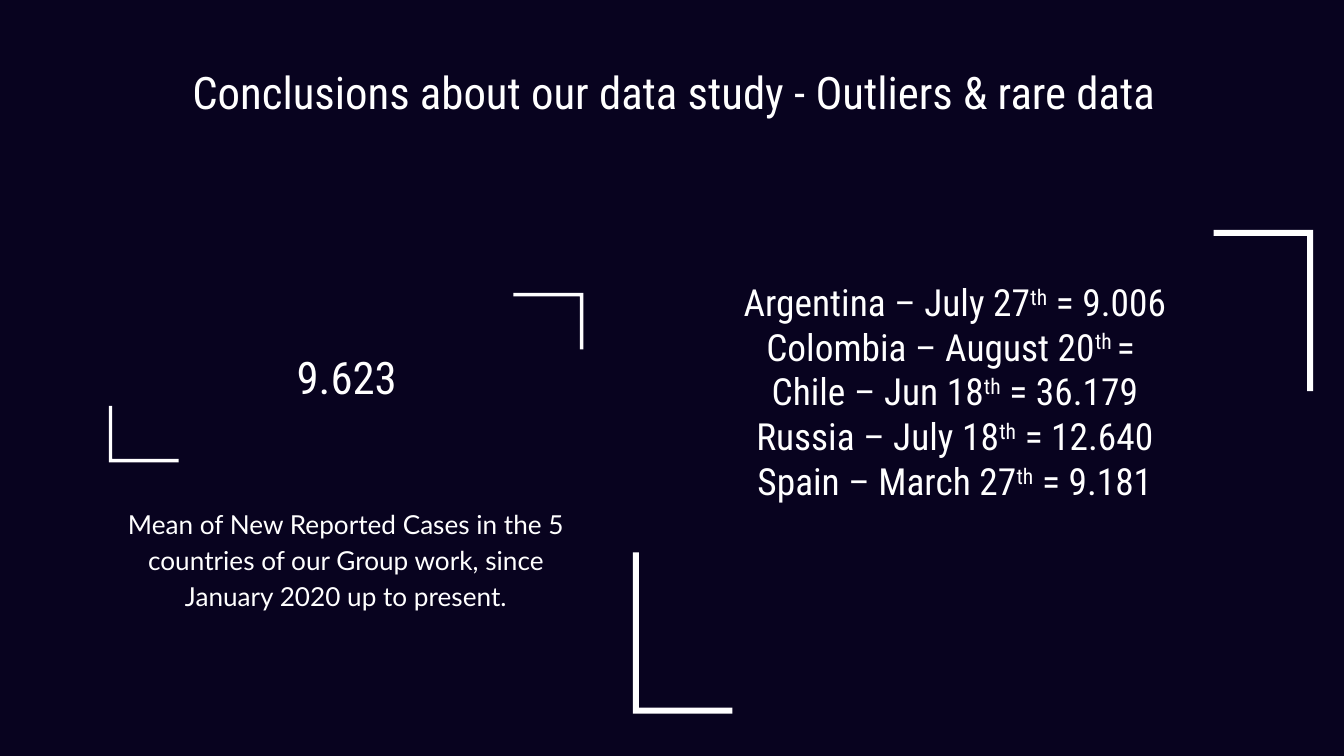
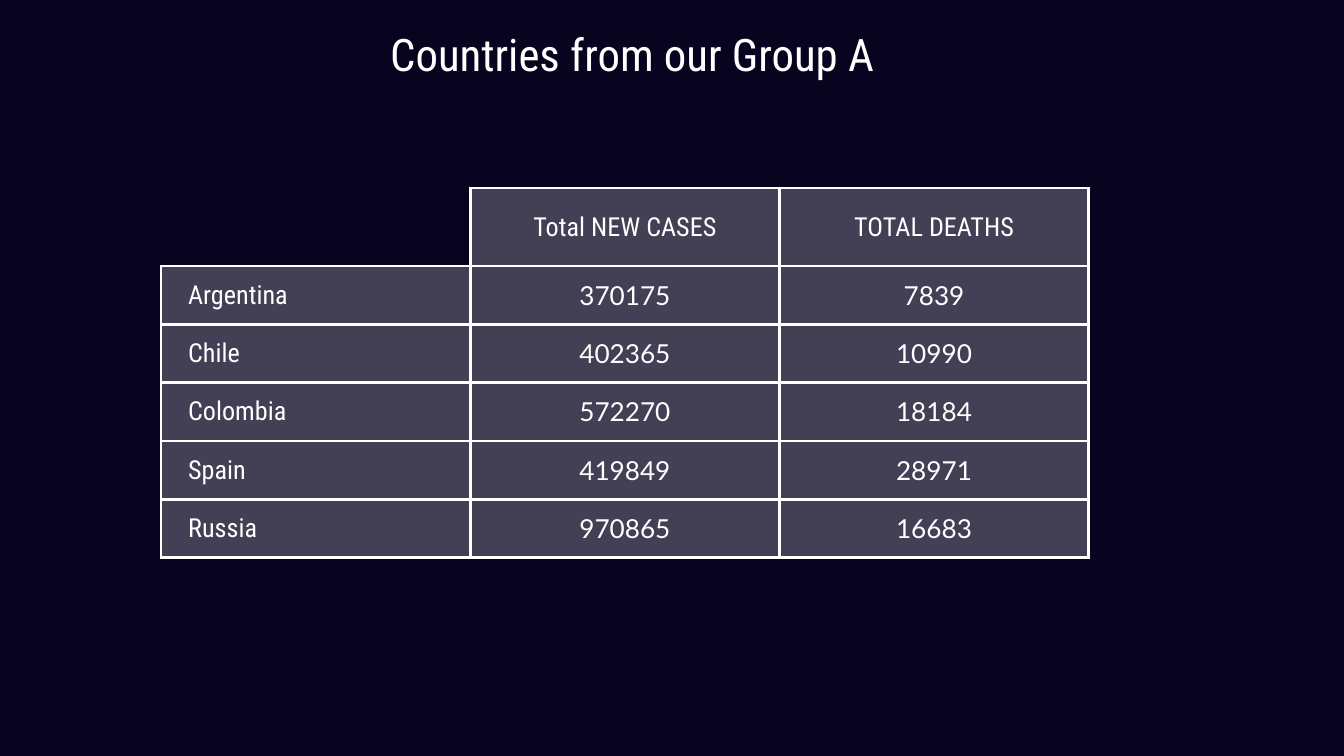
from lxml import etree
from pptx import Presentation
from pptx.dml.color import RGBColor
from pptx.enum.shapes import MSO_SHAPE
from pptx.enum.text import MSO_ANCHOR, PP_ALIGN
from pptx.oxml.ns import qn
from pptx.util import Inches, Pt

CORNER = MSO_SHAPE.CORNER
TOP, MIDDLE = MSO_ANCHOR.TOP, MSO_ANCHOR.MIDDLE
LEFT, CENTER = PP_ALIGN.LEFT, PP_ALIGN.CENTER

COLORS = {"night": "08031F", "white": "FFFFFF"}
HEAD, BODY = "Roboto Condensed", "Lato"

# The slide is a grid of 100 columns by 56.25 rows
UNIT = Inches(0.1)
COLS, ROWS = 100, 56.25

PEAKS = [
    ("Argentina – July 27", "th", " = 9.006"),
    ("Colombia – August 20", "th ", "= "),
    ("Chile – Jun 18", "th", " = 36.179"),
    ("Russia – July 18", "th", " = 12.640"),
    ("Spain – March 27", "th", " = 9.181"),
]
TOTALS = [
    ("", "Total NEW CASES", "TOTAL DEATHS"),
    ("Argentina", "370175", "7839"),
    ("Chile", "402365", "10990"),
    ("Colombia", "572270", "18184"),
    ("Spain", "419849", "28971"),
    ("Russia", "970865", "16683"),
]


def grid(*cells):
    return [round(cell * UNIT) for cell in cells]


def color(name):
    return RGBColor.from_string(COLORS[name])


def style(font, size, face):
    font.size, font.name = Pt(size), face
    font.color.rgb = color("white")


def add_page(deck):
    page = deck.slides.add_slide(deck.slide_layouts[6])
    page.background.fill.solid()
    page.background.fill.fore_color.rgb = color("night")
    return page


def add_text(page, box, text, size, face=HEAD, anchor=TOP):
    frame = page.shapes.add_textbox(*grid(*box)).text_frame
    frame.word_wrap = True
    frame.vertical_anchor = anchor
    frame.margin_left = frame.margin_right = UNIT
    frame.margin_top = frame.margin_bottom = UNIT
    para = frame.paragraphs[0]
    para.text = text
    para.alignment = CENTER
    for run in para.runs:
        style(run.font, size, face)
    return para


def add_title(page, box, text):
    add_text(page, box, text, 24)


def add_peaks(page, box):
    para = add_text(page, box, "", 20, anchor=MIDDLE)
    for row, parts in enumerate(PEAKS):
        if row:
            para.add_line_break()
        for part in parts:
            run = para.add_run()
            run.text = part
            style(run.font, 20, HEAD)
            if part.strip() == "th":
                run.font._element.set("baseline", "30000")


def add_frame(page, left, top, right, base, wide, high):
    """Two facing corners at lower left and upper right."""
    spots = [(left, base - high, 0), (right - wide, top, 180)]
    for x, y, turn in spots:
        mark = page.shapes.add_shape(CORNER, *grid(x, y, wide, high))
        mark.adjustments[0], mark.adjustments[1] = 0.06, 0.06
        mark.rotation = turn
        mark.shadow.inherit = False
        mark.fill.solid()
        mark.fill.fore_color.rgb = color("white")
        mark.line.fill.background()


def set_edges(cell, shown):
    props = cell._tc.get_or_add_tcPr()
    for spot, side in enumerate("LRTB"):
        edge = etree.Element(qn(f"a:ln{side}"), w=str(Pt(1.5)))
        if side in shown:
            fill = etree.SubElement(edge, qn("a:solidFill"))
            etree.SubElement(fill, qn("a:srgbClr"), val=COLORS["white"])
        else:
            etree.SubElement(edge, qn("a:noFill"))
        props.insert(spot, edge)


def tint(cell):
    cell.fill.solid()
    cell.fill.fore_color.rgb = color("white")
    tone = cell._tc.tcPr.find(".//" + qn("a:srgbClr"))
    etree.SubElement(tone, qn("a:alpha"), val="24000")


def fill_cell(cell, text, row, col):
    label = col == 0
    cell.vertical_anchor = MIDDLE
    cell.margin_left = cell.margin_right = UNIT * (2 if label else 1)
    cell.margin_top = cell.margin_bottom = UNIT
    para = cell.text_frame.paragraphs[0]
    para.text = text
    para.alignment = LEFT if label else CENTER
    style(para.font, 14, HEAD)
    for run in para.runs:
        style(run.font, 14, HEAD if label or row == 0 else BODY)
    if text:
        tint(cell)
    else:
        cell.fill.background()
    set_edges(cell, "LRTB" if text else "RB")


def add_table(page, left, top, wide, head, high):
    rows, cols = len(TOTALS), len(TOTALS[0])
    box = grid(left, top, wide * cols, head + high * (rows - 1))
    table = page.shapes.add_table(rows, cols, *box).table
    table.first_row = table.horz_banding = False
    for row, texts in enumerate(TOTALS):
        table.rows[row].height = grid(high if row else head)[0]
        for col, text in enumerate(texts):
            fill_cell(table.cell(row, col), text, row, col)


def main():
    deck = Presentation()
    deck.slide_width, deck.slide_height = grid(COLS, ROWS)

    # Mean and daily peaks
    page = add_page(deck)
    add_frame(page, 8.1, 21.8, 43.4, 34.4, 5.2, 4.2)
    add_frame(page, 47.1, 17.1, 97.7, 53.1, 7.4, 12)
    add_title(page, (2.6, 3.8, 95.1, 9.1),
              "Conclusions about our data study - Outliers & rare data")
    note = add_text(page, (8.1, 36.5, 35.3, 12.7),
                    "Mean of New Reported Cases in the 5 countries of our "
                    "Group work, since January 2020 up to present.", 14, BODY)
    note.line_spacing = 1.15
    note.space_after = Pt(16)
    add_text(page, (10.3, 21.8, 31, 12.4), "9.623", 24, anchor=MIDDLE)
    add_peaks(page, (47.1, 18.8, 47.9, 20.6))

    # Totals by country
    page = add_page(deck)
    add_title(page, (3.4, 1, 87.3, 5.6), "Countries from our Group A")
    add_table(page, 12, 14, 23, 5.8, 4.34)

    deck.save("out.pptx")


if __name__ == "__main__":
    main()
